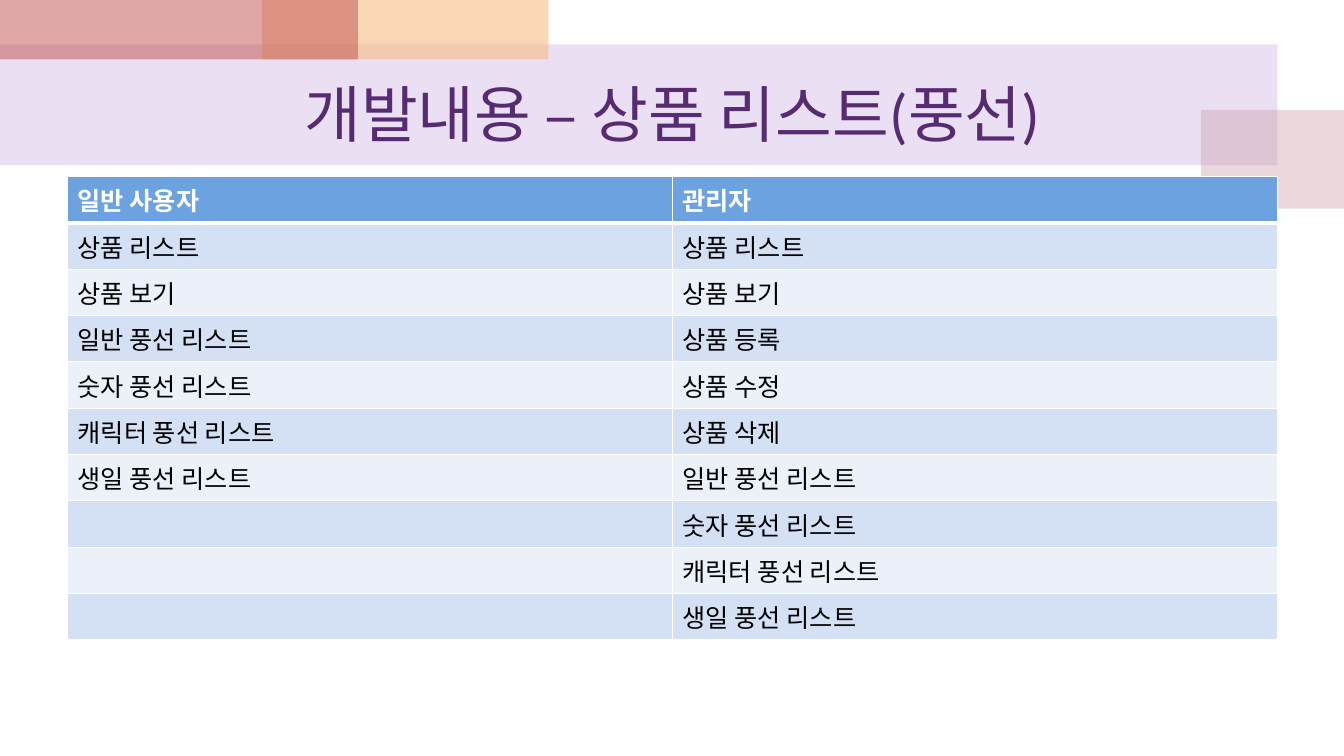
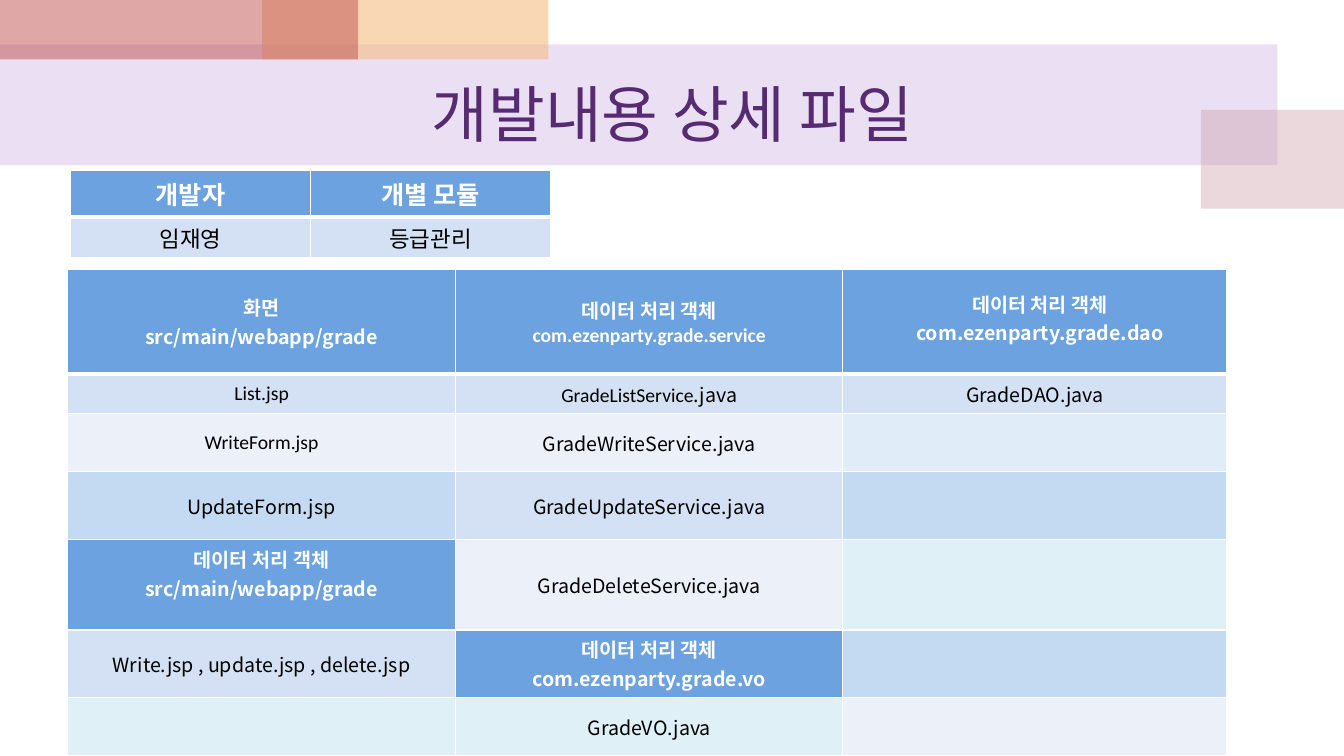
import itertools
from dataclasses import dataclass

import lxml.etree
import pptx
import pptx.dml.color
import pptx.enum.shapes
import pptx.enum.text
import pptx.oxml.ns
import pptx.util

Inches = pptx.util.Inches
Pt = pptx.util.Pt
CENTER = pptx.enum.text.PP_ALIGN.CENTER
LEFT = pptx.enum.text.PP_ALIGN.LEFT
MIDDLE = pptx.enum.text.MSO_ANCHOR.MIDDLE
TOP = pptx.enum.text.MSO_ANCHOR.TOP


@dataclass(frozen=True)
class Theme:
    latin: str = "Calibri"
    korean: str = "Noto Sans CJK KR"
    title_color: str = "562B71"
    title_size: int = 44
    table_size: int = 18
    name_size: int = 16
    file_size: int = 14
    header: str = "6BA2DF"
    band_dark: str = "D4E0F3"
    band_light: str = "EBF0F9"
    blue: str = "C4DAF2"
    pale_blue: str = "E1ECF9"
    aqua: str = "DFF0F7"
    white: str = "FFFFFF"
    black: str = "000000"
    border: int = 1
    header_border: int = 3
    decorations: tuple = (
        ((0, 0.44, 12.67, 1.2), "BF98D8", 30),
        ((11.91, 1.09, 1.43, 0.98), "CC9EAC", 40),
        ((2.6, 0, 2.84, 0.59), "F5BC83", 60),
        ((0, 0, 3.55, 0.59), "C0504D", 50),
    )


THEME = Theme()


@dataclass(frozen=True)
class Cell:
    lines: tuple
    fill: str
    heading: bool = False
    size: int = THEME.file_size
    align: object = CENTER
    anchor: object = MIDDLE
    margins: tuple = (0.1, 0.05, 0.1, 0.05)


def rgb(color):
    return pptx.dml.color.RGBColor.from_string(color)


def add_element(parent, tag, **attributes):
    element = lxml.etree.SubElement(parent, pptx.oxml.ns.qn(tag))
    for name, value in attributes.items():
        element.set(name, str(value))
    return element


def style_run(run, latin, size, color, bold=False):
    run.font.name = latin
    run.font.size = Pt(size)
    run.font.bold = bold
    run.font.color.rgb = rgb(color)
    add_element(run.font._element, "a:ea", typeface=THEME.korean)


def add_decorations(slide):
    for box, color, opacity in THEME.decorations:
        block = slide.shapes.add_shape(
            pptx.enum.shapes.MSO_SHAPE.RECTANGLE, *map(Inches, box))
        block.shadow.inherit = False
        block.line.fill.background()
        block.fill.solid()
        block.fill.fore_color.rgb = rgb(color)
        tint = block.fill._xPr.find(".//" + pptx.oxml.ns.qn("a:srgbClr"))
        add_element(tint, "a:alpha", val=opacity * 1000)


def add_title(slide, box, wording):
    title = slide.shapes.add_textbox(*map(Inches, box)).text_frame
    title.word_wrap = True
    title.vertical_anchor = MIDDLE
    title.text = wording
    heading = title.paragraphs[0]
    heading.alignment = CENTER
    style_run(heading.runs[0], THEME.latin, THEME.title_size, THEME.title_color)


def add_borders(table_cell, row):
    properties = table_cell._tc.get_or_add_tcPr()
    widths = {
        "a:lnL": THEME.border,
        "a:lnR": THEME.border,
        "a:lnT": THEME.header_border if row == 1 else THEME.border,
        "a:lnB": THEME.header_border if row == 0 else THEME.border,
    }
    for side, width in widths.items():
        edge = add_element(properties, side, w=int(Pt(width)))
        add_element(add_element(edge, "a:solidFill"), "a:srgbClr", val=THEME.white)


def fill_cell(table_cell, content, row):
    add_borders(table_cell, row)
    table_cell.fill.solid()
    table_cell.fill.fore_color.rgb = rgb(content.fill)
    table_cell.vertical_anchor = content.anchor
    (table_cell.margin_left, table_cell.margin_top,
     table_cell.margin_right, table_cell.margin_bottom) = map(Inches, content.margins)
    frame = table_cell.text_frame
    color = THEME.white if content.heading else THEME.black
    for number, line in enumerate(content.lines):
        paragraph = frame.add_paragraph() if number else frame.paragraphs[0]
        paragraph.alignment = content.align
        paragraph.text = line[0][0]
        for wording, _ in line[1:]:
            paragraph.add_run().text = wording
        for run, (_, latin) in zip(paragraph.runs, line):
            style_run(run, latin, content.size, color, content.heading)


def add_grid(slide, left, top, columns, heights, rows):
    table = slide.shapes.add_table(
        len(rows), len(columns), Inches(left), Inches(top),
        Inches(sum(columns)), Inches(sum(heights))).table
    for column, width in zip(table.columns, columns):
        column.width = Inches(width)
    for table_row, height in zip(table.rows, heights):
        table_row.height = Inches(height)
    for row, contents in enumerate(rows):
        for column, content in enumerate(contents):
            fill_cell(table.cell(row, column), content, row)


def latin(wording):
    return ((wording, THEME.latin),)


def korean(wording):
    return ((wording, THEME.korean),)


def heading(*lines, **options):
    return Cell(lines, THEME.header, heading=True, **options)


def entry(line, fill):
    return Cell((line,), fill)


def blank(fill):
    return Cell((), fill)


def add_feature_table(slide, left, top, width):
    balloons = [f"{kind} 풍선 리스트" for kind in ("일반", "숫자", "캐릭터", "생일")]
    views = ["상품 리스트", "상품 보기"]
    user = ["일반 사용자"] + views + balloons
    manager = ["관리자"] + views + ["상품 등록", "상품 수정", "상품 삭제"] + balloons
    rows = []
    for number, pair in enumerate(itertools.zip_longest(user, manager)):
        band = THEME.band_dark if number % 2 else THEME.band_light
        rows.append([
            Cell((latin(wording),) if wording else (),
                 band if number else THEME.header, heading=number == 0,
                 size=THEME.table_size, align=LEFT, anchor=TOP)
            for wording in pair])
    add_grid(slide, left, top, [width / 2] * 2, [0.46] * len(rows), rows)


def add_file_table(slide, left, top):
    processing = "데이터 처리 객체"
    screens = "src/main/webapp/grade"
    rows = [
        [heading(latin("화면"), korean(screens)),
         heading(latin(processing), latin("com.ezenparty.grade.service")),
         heading(korean(processing), korean("com.ezenparty.grade.dao"),
                 margins=(0.2, 0.2, 0.1, 0.28))],
        [entry(latin("List.jsp"), THEME.band_dark),
         entry(latin("GradeListService") + korean(".java"), THEME.band_dark),
         entry(korean("GradeDAO.java"), THEME.band_dark)],
        [entry(latin("WriteForm.jsp"), THEME.band_light),
         entry(korean("GradeWriteService.java"), THEME.band_light),
         blank(THEME.pale_blue)],
        [entry(korean("UpdateForm.jsp"), THEME.blue),
         entry(korean("GradeUpdateService.java"), THEME.band_dark),
         blank(THEME.blue)],
        [heading(korean(processing), korean(screens), margins=(0.1, 0.05, 0.1, 0.27)),
         entry(korean("GradeDeleteService.java"), THEME.band_light),
         blank(THEME.aqua)],
        [entry(korean("Write.jsp , update.jsp , delete.jsp"), THEME.band_dark),
         heading(korean(processing), korean("com.ezenparty.grade.vo")),
         blank(THEME.blue)],
        [blank(THEME.aqua),
         entry(korean("GradeVO.java"), THEME.aqua),
         blank(THEME.band_light)],
    ]
    add_grid(slide, left, top, [3.85, 3.84, 3.81],
             [1.04, 0.39, 0.58, 0.67, 0.9, 0.67, 0.58], rows)


def add_developer_table(slide, left, top, width):
    rows = [
        [heading(latin(wording), size=THEME.table_size, anchor=TOP)
         for wording in ("개발자", "개별 모듈")],
        [Cell((latin(wording),), THEME.band_dark, size=THEME.name_size, anchor=TOP)
         for wording in ("임재영", "등급관리")],
    ]
    add_grid(slide, left, top, [width / 2] * 2, [0.46, 0.41], rows)


def add_content_slide(deck, wording):
    slide = deck.slides.add_slide(deck.slide_layouts[6])
    add_decorations(slide)
    add_title(slide, (0.67, 0.59, 12, 1.05), wording)
    return slide


def main():
    deck = pptx.Presentation()
    deck.slide_width = Inches(13.33)
    deck.slide_height = Inches(7.5)

    features = add_content_slide(deck, "개발내용 – 상품 리스트(풍선)")
    add_feature_table(features, 0.67, 1.75, 12)

    files = add_content_slide(deck, "개발내용 상세 파일")
    add_file_table(files, 0.67, 2.67)
    add_developer_table(files, 0.7, 1.69, 4.76)

    deck.save("out.pptx")


if __name__ == "__main__":
    main()
